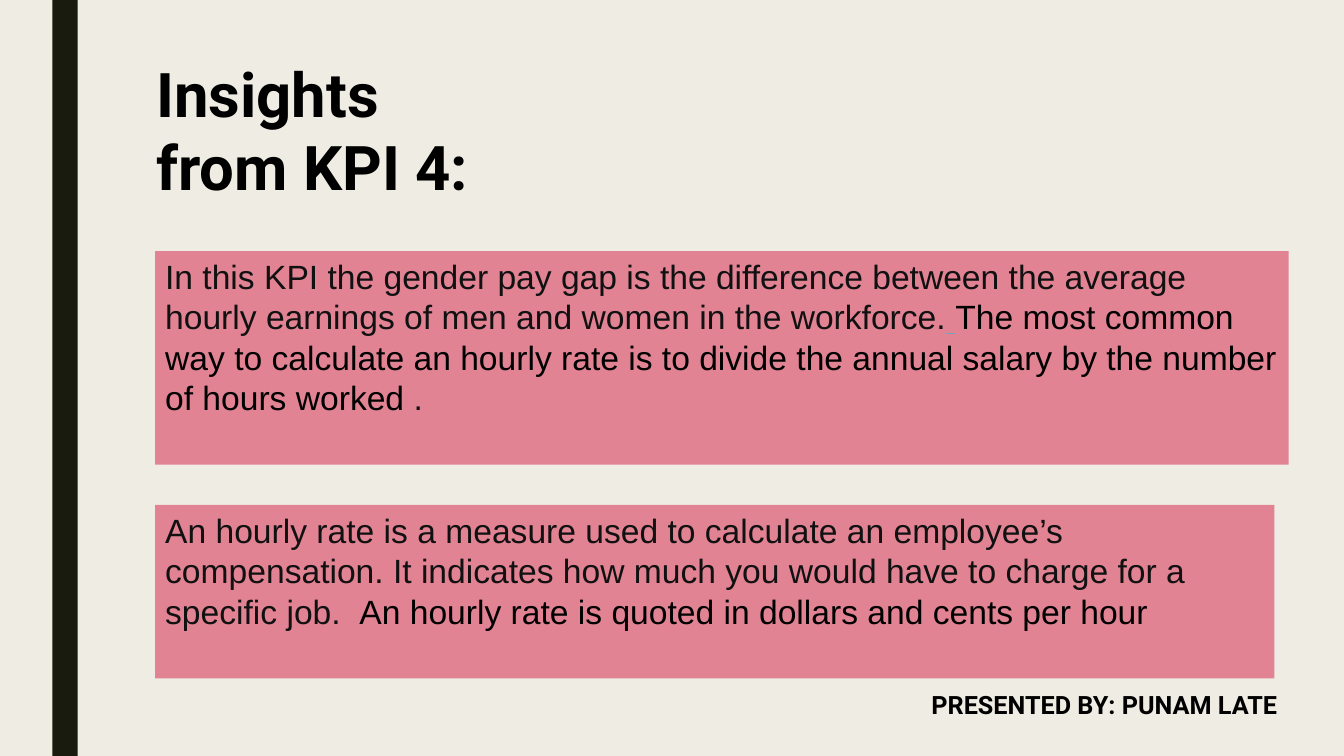
from pptx import Presentation
from pptx.dml.color import RGBColor
from pptx.enum.shapes import MSO_SHAPE as Shape
from pptx.enum.text import MSO_ANCHOR as Anchor, MSO_AUTO_SIZE as AutoSize, PP_ALIGN as Align
from pptx.util import Inches, Pt

COLORS = {
    "background": "EFEDE3",
    "stripe": "191B0E",
    "panel": "E28394",
    "ink": "111111",
    "black": "000000",
    "link": "77A2BB",
}
PANEL_LEFT = 1.54


def color(name):
    return RGBColor.from_string(COLORS[name])


def style(span, font, size, ink, bold=False):
    span.font.name = font
    span.font.size = Pt(size)
    span.font.bold = bold
    span.font.color.rgb = color(ink)


def prepare_frame(frame):
    """Make the text wrap from the top left of a fixed box."""
    frame.word_wrap = True
    frame.auto_size = AutoSize.NONE
    frame.vertical_anchor = Anchor.TOP


def add_block(page, box, fill):
    block = page.shapes.add_shape(Shape.RECTANGLE, *map(Inches, box))
    block.shadow.inherit = False
    block.fill.solid()
    block.fill.fore_color.rgb = color(fill)
    block.line.fill.background()
    return block


def add_panel(page, box, spans):
    """Draw a filled panel with one paragraph made of (text, ink) spans."""
    frame = add_block(page, box, "panel").text_frame
    prepare_frame(frame)
    para = frame.paragraphs[0]
    para.alignment = Align.LEFT
    for text, ink in spans:
        span = para.add_run()
        span.text = text
        style(span, "Arial", 24, ink)
        span.font.underline = ink == "link"


def write_heading(shape, box, text, size):
    shape.left, shape.top, shape.width, shape.height = map(Inches, box)
    frame = shape.text_frame
    prepare_frame(frame)
    frame.text = text
    for para in frame.paragraphs:
        para.alignment = Align.LEFT
        for span in para.runs:
            style(span, "Roboto", size, "black", bold=True)


def build_insights(deck):
    page = deck.slides.add_slide(deck.slide_layouts[5])
    page.background.fill.solid()
    page.background.fill.fore_color.rgb = color("background")

    add_block(page, (0.52, 0, 0.25, 7.5), "stripe")
    write_heading(page.shapes.title, (1.45, 0.5, 6.67, 1.58), "Insights\nfrom KPI 4:", 44)
    add_panel(page, (PANEL_LEFT, 2.49, 11.24, 2.12), [
        ("In this KPI the gender pay gap is the difference between the average "
         "hourly earnings of men and women in the workforce.", "ink"),
        (" ", "link"),
        ("The most common way to calculate an hourly rate is to divide the annual "
         "salary by the number of hours worked ", "black"),
        (".", "ink"),
    ])
    add_panel(page, (PANEL_LEFT, 5.01, 11.1, 1.72), [
        ("An hourly rate is a measure used to calculate an employee’s compensation. "
         "It indicates how much you would have to charge for a specific job.  ", "ink"),
        ("An hourly rate is quoted in dollars and cents per hour", "black"),
    ])
    credit_box = (9.14, 6.79, 4, 0.71)
    credit = page.shapes.add_textbox(*map(Inches, credit_box))
    write_heading(credit, credit_box, "PRESENTED BY: PUNAM LATE", 18)


def main():
    deck = Presentation()
    deck.slide_width = Inches(13.33)
    deck.slide_height = Inches(7.5)
    build_insights(deck)
    deck.save("out.pptx")


if __name__ == "__main__":
    main()
